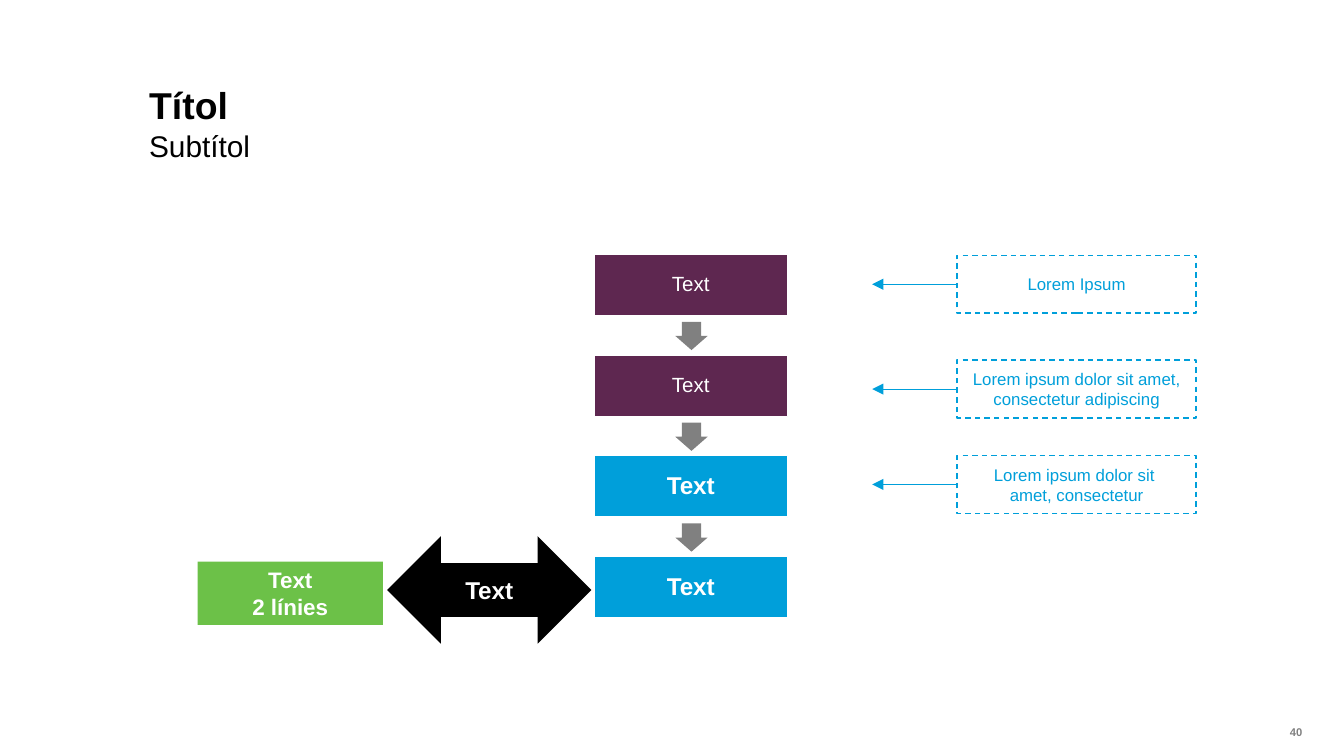
import pptx
import pptx.util
import pptx.dml.color
import pptx.enum.dml
import pptx.enum.shapes
import pptx.enum.text
import pptx.oxml
import pptx.oxml.ns

Inches = pptx.util.Inches
Pt = pptx.util.Pt
SHAPE = pptx.enum.shapes.MSO_SHAPE
ALIGN = pptx.enum.text.PP_ALIGN
ANCHOR = pptx.enum.text.MSO_ANCHOR

COLORS = {
    "black": "000000",
    "white": "FFFFFF",
    "plum": "5E2750",
    "blue": "009FDA",
    "green": "6CC148",
    "gray": "808080",
}


def color(name):
    return pptx.dml.color.RGBColor.from_string(COLORS[name])


def write(shape, lines, size, tint, bold=False, align=ALIGN.CENTER,
          anchor=ANCHOR.MIDDLE, inset=(0.05, 0.05, 0.05, 0.05), space=None):
    frame = shape.text_frame
    frame.word_wrap = True
    frame.auto_size = pptx.enum.text.MSO_AUTO_SIZE.NONE
    frame.vertical_anchor = anchor
    (frame.margin_left, frame.margin_top,
     frame.margin_right, frame.margin_bottom) = map(Inches, inset)
    para = frame.paragraphs[0]
    para.alignment = align
    if space:
        para.line_spacing = space
    for i, line in enumerate(lines):
        if i:
            para.add_line_break()
        run = para.add_run()
        run.text = line
        run.font.name = "Arial"
        run.font.size = Pt(size)
        run.font.bold = bold
        run.font.color.rgb = color(tint)


def draw(slide, kind, box, fill=None, edge=None, width=1):
    shape = slide.shapes.add_shape(kind, *map(Inches, box))
    shape.shadow.inherit = False
    if fill:
        shape.fill.solid()
        shape.fill.fore_color.rgb = color(fill)
    else:
        shape.fill.background()
    if edge:
        shape.line.color.rgb = color(edge)
        shape.line.width = Pt(width)
    else:
        shape.line.fill.background()
    return shape


def add_head(slide, box):
    left, top, width, height = box
    title = slide.shapes.title
    title.left, title.top, title.width, title.height = map(Inches, box)
    below = slide.shapes.add_textbox(
        *map(Inches, (left, top + 0.33, width, height)))
    for shape, text, size, bold in ((title, "Títol", 20, True),
                                    (below, "Subtítol", 16, False)):
        write(shape, [text], size, "black", bold, ALIGN.LEFT, ANCHOR.TOP,
              (0, 0.05, 0.1, 0.05), 0.9)


def add_steps(slide, box):
    left, top, width, height = box
    pitch, tall = 0.75, 0.46
    steps = [("plum", 11, False)] * 2 + [("blue", 13, True)] * 2
    for i, (fill, size, bold) in enumerate(steps):
        y = top + i * pitch
        step = draw(slide, SHAPE.RECTANGLE, (left, y, width, tall),
                    fill, "white")
        write(step, ["Text"], size, "white", bold, space=0.9)
        if i < len(steps) - 1:
            arrow = draw(slide, SHAPE.RIGHT_ARROW,
                         (left + 0.62, y + 0.49, 0.21, 0.24), "gray")
            arrow.rotation = 90
            arrow.adjustments[0] = 0.6
            arrow.adjustments[1] = 0.5


def add_link(slide, box):
    left, top, width, height = box
    label = draw(slide, SHAPE.RECTANGLE,
                 (left, top + 0.19, 1.38, 0.47), "green")
    write(label, ["Text", "2 línies"], 12, "white", True)
    arrow = draw(slide, SHAPE.LEFT_RIGHT_ARROW,
                 (left + 1.41, top, width - 1.41, height), "black")
    write(arrow, ["Text"], 13, "white", True)


def add_line(slide, start, end, y):
    line = slide.shapes.add_connector(
        pptx.enum.shapes.MSO_CONNECTOR.STRAIGHT,
        *map(Inches, (start, y, end, y)))
    line.line.color.rgb = color("blue")
    line.line.width = Pt(0.5)
    tail = pptx.oxml.parse_xml(
        "<a:tailEnd %s type='triangle'/>" % pptx.oxml.ns.nsdecls("a"))
    line.line._get_or_add_ln().append(tail)
    flat = pptx.oxml.parse_xml("<a:effectLst %s/>" % pptx.oxml.ns.nsdecls("a"))
    line._element.spPr.append(flat)


def add_notes(slide, box):
    left, top, width, height = box
    tall, reach = 0.43, 0.62
    notes = (
        (0, ["Lorem Ipsum"]),
        (0.78, ["Lorem ipsum dolor sit amet, consectetur adipiscing"]),
        (1.49, ["Lorem ipsum dolor sit ", "amet, consectetur"]),
    )
    for drop, lines in notes:
        y = top + drop
        note = draw(slide, SHAPE.RECTANGLE,
                    (left + reach + 0.01, y, width - reach - 0.01, tall),
                    None, "blue", 0.75)
        note.line.dash_style = pptx.enum.dml.MSO_LINE.DASH
        write(note, lines, 9, "blue", inset=(0.1, 0.05, 0.1, 0.05))
        add_line(slide, left + reach, left, y + tall / 2)


def add_page(slide, box):
    page = slide.shapes.add_textbox(*map(Inches, box))
    write(page, ["40"], 6, "gray", True, ALIGN.RIGHT, ANCHOR.TOP, (0, 0, 0, 0))


def main():
    deck = pptx.Presentation()
    deck.slide_width = Inches(10)
    deck.slide_height = deck.slide_width * 9 // 16
    slide = deck.slides.add_slide(deck.slide_layouts[5])
    add_head(slide, (1.11, 0.6, 7.08, 0.44))
    add_steps(slide, (4.42, 1.89, 1.44, 2.71))
    add_link(slide, (1.47, 3.99, 2.93, 0.8))
    add_notes(slide, (6.49, 1.9, 2.41, 1.92))
    add_page(slide, (9.11, 5.4, 0.58, 0.1))
    deck.save("out.pptx")


if __name__ == "__main__":
    main()
